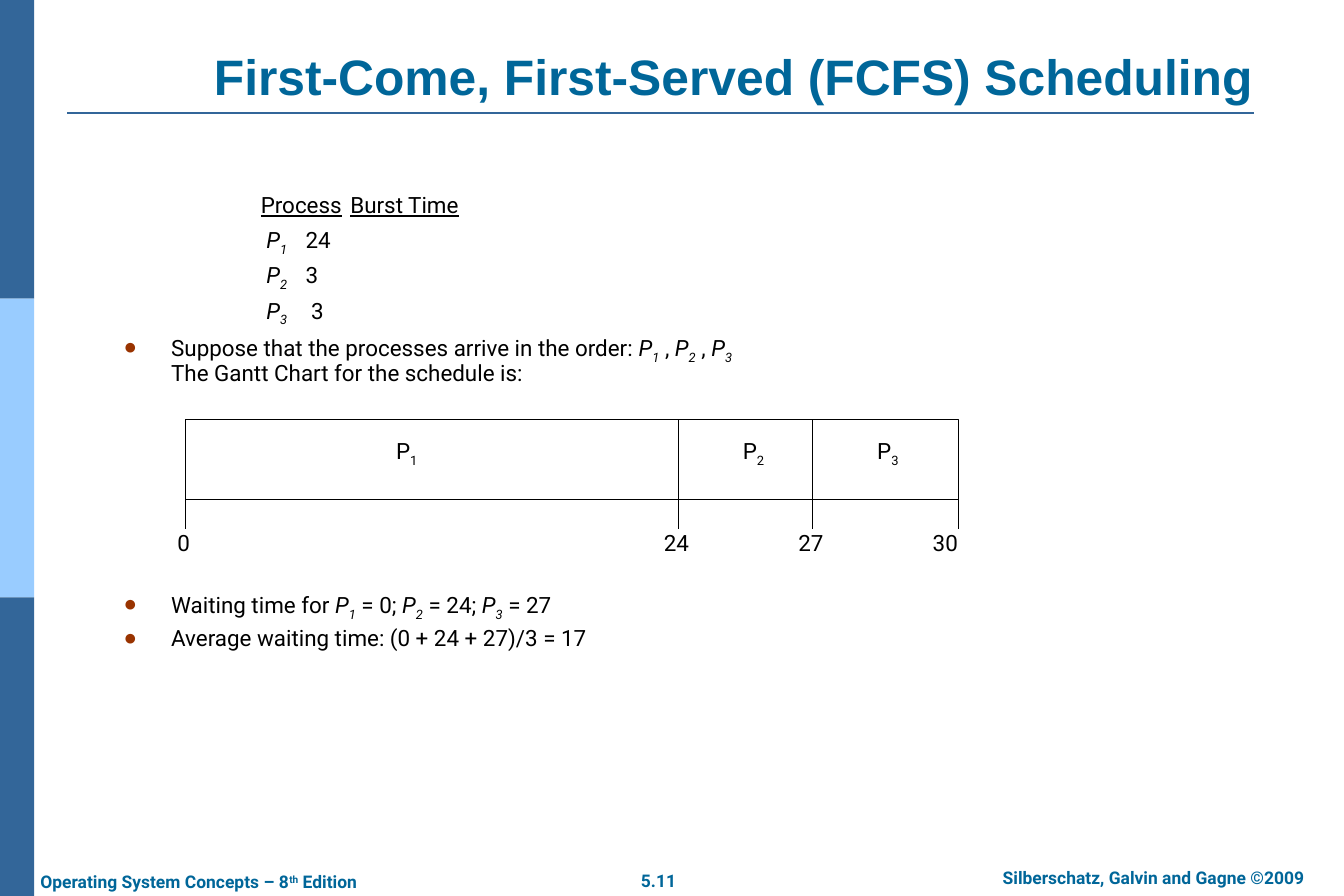
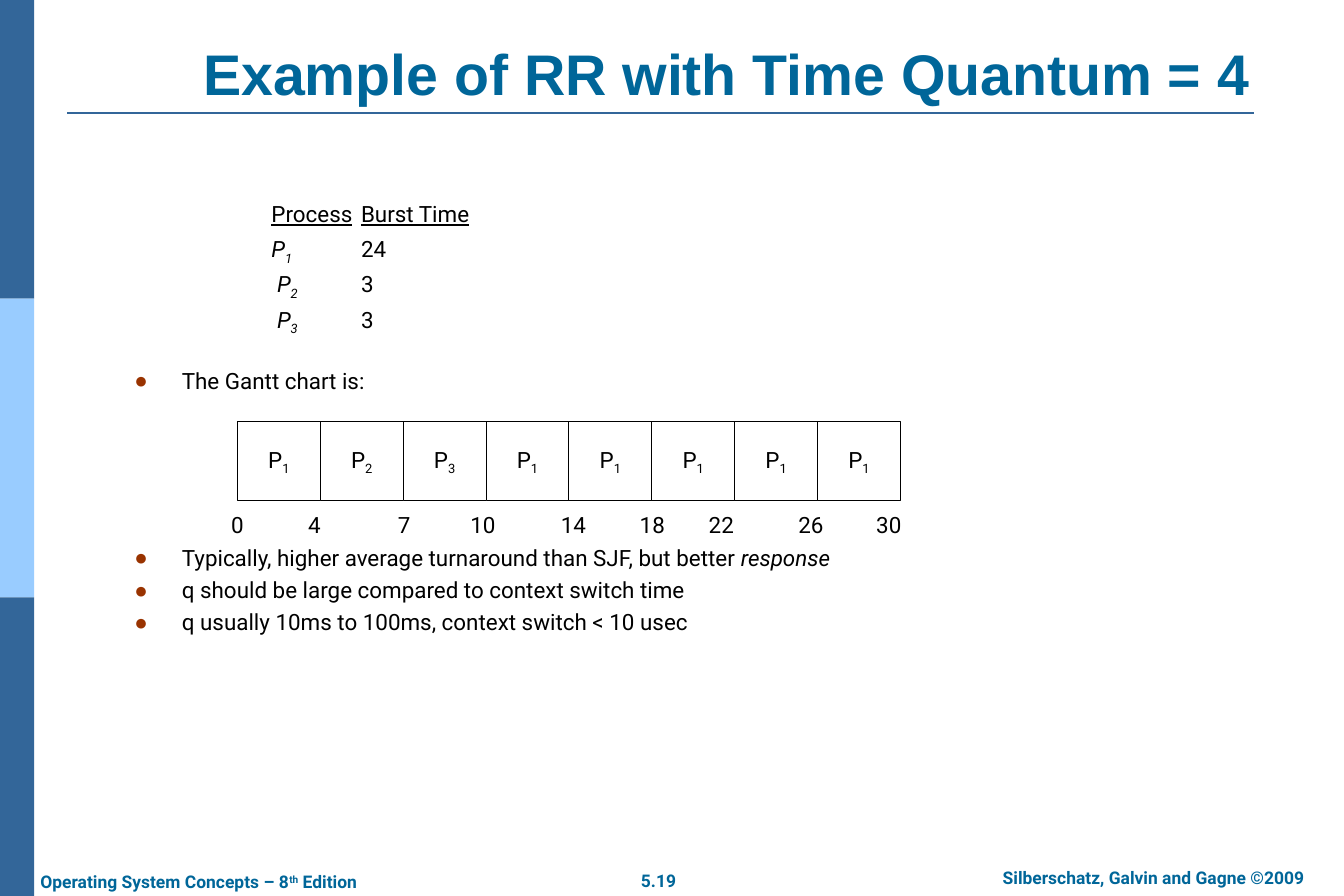
from dataclasses import dataclass

import pptx
import pptx.util
import pptx.dml.color
import pptx.enum.shapes
import pptx.enum.text
from lxml import etree
from pptx.oxml.ns import qn

Inches = pptx.util.Inches
Pt = pptx.util.Pt
ALIGN = pptx.enum.text.PP_ALIGN
ANCHOR = pptx.enum.text.MSO_ANCHOR


@dataclass(frozen=True)
class Theme:
    heading: str = "006699"
    band: str = "336699"
    band_light: str = "99CCFF"
    bullet: str = "993300"
    ink: str = "000000"
    paper: str = "FFFFFF"
    title_font: str = "Arial"
    body_font: str = "Roboto"
    body_size: float = 18
    footer_size: float = 14
    hairline: float = 0.75
    rule: float = 1.5
    wide_insets: tuple = (0.14, 0.07)
    small_insets: tuple = (0.1, 0.05)


def rgb(value):
    return pptx.dml.color.RGBColor.from_string(value)


def process(n, style="i"):
    """Runs for a process name with its subscript number."""
    return [("P", style), (str(n), style + "_")]


class Deck:
    def __init__(self, theme):
        self.t = theme
        self.prs = pptx.Presentation()
        self.prs.slide_width, self.prs.slide_height = Inches(15), Inches(10)
        self.s = None

    # Slide frame: title, side bands, rule and footers
    def slide(self, title, box, size, number):
        t = self.t
        self.s = self.prs.slides.add_slide(self.prs.slide_layouts[5])
        sp = self.s.shapes.title
        sp.left, sp.top, sp.width, sp.height = map(Inches, box)
        tf = self.frame(sp, t.wide_insets, ANCHOR.BOTTOM)
        tf.paragraphs[0].alignment = ALIGN.CENTER
        self.runs(tf.paragraphs[0], [(title, "b")], size, t.heading, t.title_font)

        third = 10 / 3
        for i, color in enumerate((t.band, t.band_light, t.band)):
            self.rect(0, i * third, 0.38, third, color)
        self.line((0.75, 1.26), (14, 1.26), t.band, t.rule)

        edition = [("Operating System Concepts – 8", "b"), ("th", "b^"), (" Edition", "b")]
        authors = [("Silberschatz, Galvin and Gagne ©2009", "b")]
        for left, top, width, runs, align in (
                (7, 9.64, 0.7, [(number, "b")], ALIGN.CENTER),
                (10.65, 9.61, 4.45, authors, ALIGN.CENTER),
                (0.31, 9.65, 4.03, edition, ALIGN.LEFT)):
            tf = self.box(left, top, width, 0.38, t.wide_insets)
            tf.paragraphs[0].alignment = align
            self.runs(tf.paragraphs[0], runs, t.footer_size, t.heading)

    # Text
    def frame(self, sp, insets, anchor, wrap=True):
        tf = sp.text_frame
        tf.auto_size = pptx.enum.text.MSO_AUTO_SIZE.NONE
        tf.word_wrap = wrap
        tf.vertical_anchor = anchor
        tf.margin_left = tf.margin_right = Inches(insets[0])
        tf.margin_top = tf.margin_bottom = Inches(insets[1])
        return tf

    def box(self, left, top, width, height, insets, anchor=ANCHOR.TOP, wrap=True):
        sp = self.s.shapes.add_textbox(*map(Inches, (left, top, width, height)))
        return self.frame(sp, insets, anchor, wrap)

    def runs(self, p, runs, size=None, color=None, font=None):
        """Style letters: b bold, i italic, u underline, _ subscript, ^ superscript."""
        for text, style in runs:
            if text == "\n":
                p.add_line_break()
                continue
            r = p.add_run()
            r.text = text
            r.font.name = font or self.t.body_font
            r.font.size = Pt(size or self.t.body_size)
            r.font.color.rgb = rgb(color or self.t.ink)
            r.font.bold = "b" in style
            r.font.italic = "i" in style
            r.font.underline = "u" in style
            for mark, shift in (("_", "-25000"), ("^", "30000")):
                if mark in style:
                    r._r.get_or_add_rPr().set("baseline", shift)

    def body(self, at, rows, bullets):
        """Process table as tabbed lines, then (space before, runs) bullets."""
        tf = self.box(*at, self.t.wide_insets)
        header = [("Process", "u"), ("\t", ""), ("Burst Time", "u")]
        lines = [(0, header, False)]
        lines += [(6.3, runs, False) for runs in rows]
        lines += [(before, runs, True) for before, runs in bullets]
        for i, (before, runs, bulleted) in enumerate(lines):
            p = tf.add_paragraph() if i else tf.paragraphs[0]
            p.line_spacing = 0.9
            p.space_before = Pt(before)
            pPr = p._p.get_or_add_pPr()
            pPr.set("marL", str(Inches(0.53 if bulleted else 1.53)))
            pPr.set("indent", str(Inches(-0.53 if bulleted else 0)))
            if bulleted:
                clr = etree.SubElement(pPr, qn("a:buClr"))
                etree.SubElement(clr, qn("a:srgbClr")).set("val", self.t.bullet)
                etree.SubElement(pPr, qn("a:buFont")).set("typeface", self.t.title_font)
                etree.SubElement(pPr, qn("a:buChar")).set("char", "●")
            self.runs(p, runs)

    def label(self, center, top, runs):
        width = 0.48
        tf = self.box(center - width / 2, top, width, 0.4, self.t.small_insets,
                      ANCHOR.MIDDLE, wrap=False)
        tf.paragraphs[0].alignment = ALIGN.CENTER
        self.runs(tf.paragraphs[0], runs)

    # Shapes
    def rect(self, left, top, width, height, fill, line=None):
        sp = self.s.shapes.add_shape(pptx.enum.shapes.MSO_SHAPE.RECTANGLE,
                                     *map(Inches, (left, top, width, height)))
        sp.shadow.inherit = False
        sp.fill.solid()
        sp.fill.fore_color.rgb = rgb(fill)
        if line:
            sp.line.color.rgb = rgb(line)
            sp.line.width = Pt(self.t.hairline)
        else:
            sp.line.fill.background()
        return sp

    def cell(self, left, top, width, height, runs):
        sp = self.rect(left, top, width, height, self.t.paper, self.t.ink)
        tf = self.frame(sp, self.t.small_insets, ANCHOR.MIDDLE)
        tf.paragraphs[0].alignment = ALIGN.CENTER
        self.runs(tf.paragraphs[0], runs)

    def line(self, start, end, color=None, width=None):
        c = self.s.shapes.add_connector(pptx.enum.shapes.MSO_CONNECTOR.STRAIGHT,
                                        *map(Inches, start + end))
        c.line.color.rgb = rgb(color or self.t.ink)
        c.line.width = Pt(width or self.t.hairline)
        etree.SubElement(c._element.spPr, qn("a:effectLst"))


def fcfs_slide(d):
    d.slide("First-Come, First-Served (FCFS) Scheduling", (1.62, 0.58, 13.13, 0.67), 40, "5.11")
    rows = [[(" ", ""), *process(n), ("\t" + burst, "")]
            for n, burst in ((1, "24"), (2, "3"), (3, " 3"))]
    order = [("Suppose that the processes arrive in the order: ", ""),
             *process(1), (" , ", ""), *process(2), (" , ", ""), *process(3),
             ("\n", ""), ("The Gantt Chart for the schedule is:", "")]
    waiting = [("Waiting time for ", ""), *process(1), (" = 0; ", ""),
               *process(2), (" = 24; ", ""), *process(3), (" = 27", "")]
    average = [("Average waiting time: (0 + 24 + 27)/3 = 17", "")]
    d.body((1.24, 2.1, 12.41, 6), rows, [(8.1, order), (165, waiting), (6.3, average)])

    # Gantt chart
    top, bottom, tick_end = 4.68, 5.57, 5.9
    edges = (2.07, 7.57, 9.07, 10.7)
    d.rect(edges[0], top, edges[-1] - edges[0], bottom - top, d.t.paper, d.t.ink)
    for n, center in enumerate((4.54, 8.41, 9.91), 1):
        d.label(center, 4.85, process(n, ""))
    for x in edges[1:-1]:
        d.line((x, top), (x, bottom))
    for x in edges:
        d.line((x, bottom), (x, tick_end))
    for time, center in ((0, 2.05), (24, 7.55), (27, 9.05), (30, 10.55)):
        d.label(center, 5.85, [(str(time), "")])


def round_robin_slide(d):
    d.slide("Example of RR with Time Quantum = 4", (1.5, 0.03, 13.21, 1.23), 46, "5.19")
    rows = [[(lead, ""), *process(n), ("\t\t" + burst, "")]
            for lead, n, burst in (("", 1, "24"), (" ", 2, "3"), (" ", 3, "3"))]
    rows[0] = rows[0][1:]
    d.body((1.36, 2.2, 12.06, 6.54), rows, [
        (29.5, [("The Gantt chart is:", "")]),
        (123, [("Typically, higher average turnaround than SJF, but better ", ""),
               ("response", "i")]),
        (6.3, [("q should be large compared to context switch time", "")]),
        (6.3, [("q usually 10ms to 100ms, context switch < 10 usec", "")])])

    # Gantt chart
    step = 0.925
    for i, n in enumerate((1, 2, 3, 1, 1, 1, 1, 1)):
        d.cell(2.65 + i * step, 4.7, step, 0.89, process(n, ""))
    for time, center in ((0, 2.65), (4, 3.51), (7, 4.51), (10, 5.39), (14, 6.4),
                         (18, 7.28), (22, 8.05), (26, 9.05), (30, 9.92)):
        d.label(center, 5.66, [(str(time), "")])


def main():
    d = Deck(Theme())
    fcfs_slide(d)
    round_robin_slide(d)
    d.prs.save("out.pptx")


if __name__ == "__main__":
    main()
